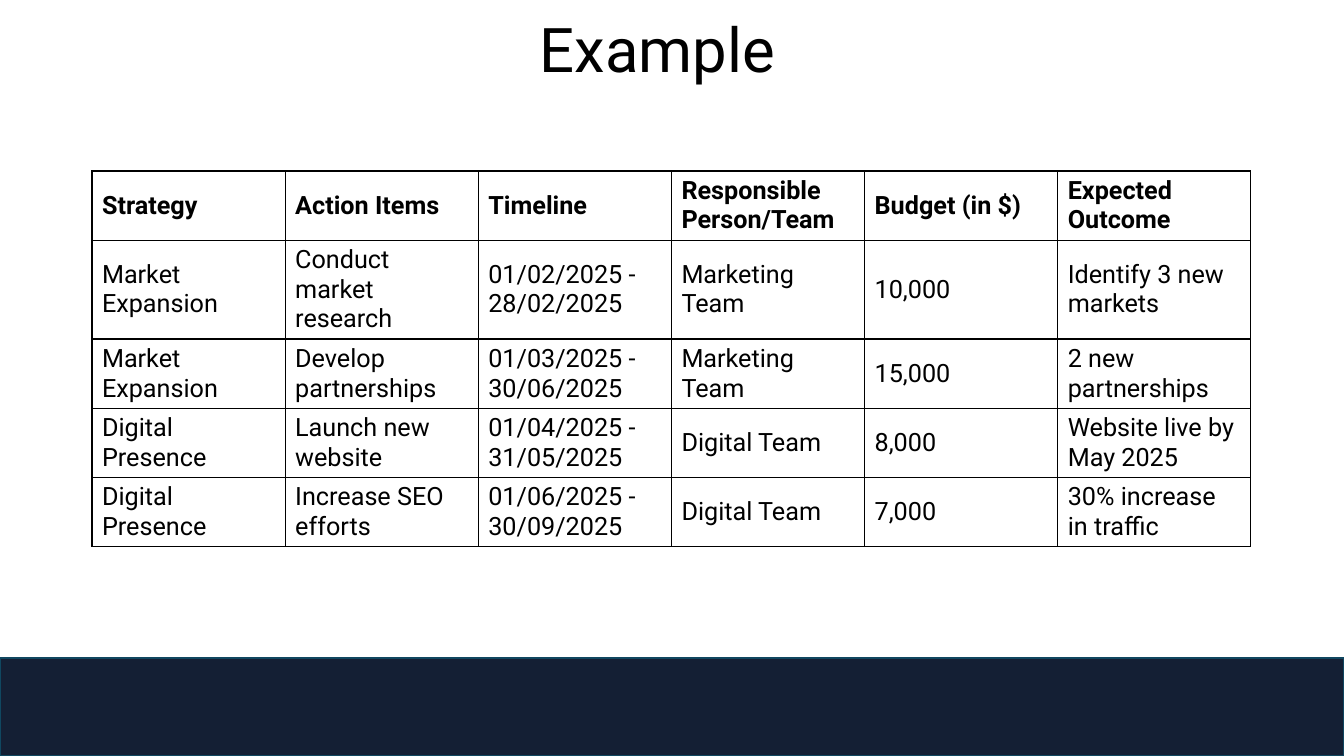
from dataclasses import dataclass

from lxml import etree
from pptx import Presentation
from pptx import util as u
from pptx.dml.color import RGBColor
from pptx.enum import shapes, text
from pptx.oxml.ns import qn


@dataclass(frozen=True)
class Theme:
    font: str = "Roboto"
    ink: str = "000000"
    paper: str = "FFFFFF"
    navy: str = "141F34"
    teal: str = "104760"
    head: int = 44
    body: int = 18
    rule: float = 1
    edge: float = 1.5


@dataclass(frozen=True)
class Box:
    left: int
    top: int
    width: int
    height: int

    def emu(self) -> tuple:
        return tuple(px(n) for n in (self.left, self.top, self.width, self.height))


@dataclass(frozen=True)
class Task:
    plan: str
    action: str
    dates: str
    team: str
    budget: str
    result: str

    def cells(self) -> tuple:
        return (self.plan, self.action, self.dates,
                self.team, self.budget, self.result)


THEME = Theme()
SCALE = 914400 / 100.8
SLIDE = Box(0, 0, 1344, 756)
TITLE = Box(78, 0, 1159, 105)
GRID = Box(92, 171, 1159, 376)
BAND = Box(0, 658, 1344, 98)
LINE = 69
TALL = 98

TASKS = (
    Task("Strategy", "Action Items", "Timeline", "Responsible Person/Team",
         "Budget (in $)", "Expected Outcome"),
    Task("Market Expansion", "Conduct market research", "01/02/2025 - 28/02/2025",
         "Marketing Team", "10,000", "Identify 3 new markets"),
    Task("Market Expansion", "Develop partnerships", "01/03/2025 - 30/06/2025",
         "Marketing Team", "15,000", "2 new partnerships"),
    Task("Digital Presence", "Launch new website", "01/04/2025 - 31/05/2025",
         "Digital Team", "8,000", "Website live by May 2025"),
    Task("Digital Presence", "Increase SEO efforts", "01/06/2025 - 30/09/2025",
         "Digital Team", "7,000", "30% increase in traffic"),
)
HEIGHTS = (LINE, TALL, LINE, LINE, LINE)


def px(count: float) -> u.Emu:
    return u.Emu(round(count * SCALE))


def style(frame, size: int, bold: bool = False) -> None:
    for para in frame.paragraphs:
        for run in para.runs:
            run.font.name = THEME.font
            run.font.size = u.Pt(size)
            run.font.bold = bold
            run.font.color.rgb = RGBColor.from_string(THEME.ink)


def border(cell) -> None:
    props = cell._tc.get_or_add_tcPr()
    for side in ("a:lnL", "a:lnR", "a:lnT", "a:lnB"):
        line = etree.SubElement(props, qn(side), w=str(u.Pt(THEME.rule)))
        fill = etree.SubElement(line, qn("a:solidFill"))
        etree.SubElement(fill, qn("a:srgbClr"), val=THEME.ink)


def title(slide, words: str) -> None:
    shape = slide.shapes.title
    shape.left, shape.top, shape.width, shape.height = TITLE.emu()
    frame = shape.text_frame
    frame.text = words
    frame.vertical_anchor = text.MSO_ANCHOR.MIDDLE
    frame.auto_size = text.MSO_AUTO_SIZE.NONE
    frame.paragraphs[0].alignment = text.PP_ALIGN.CENTER
    frame.paragraphs[0].line_spacing = 0.9
    style(frame, THEME.head)


def grid(slide, tasks: tuple) -> None:
    count = len(tasks[0].cells())
    table = slide.shapes.add_table(len(tasks), count, *GRID.emu()).table
    table.first_row = True
    table.horz_banding = False
    for column in table.columns:
        column.width = px(GRID.width / count)
    for i, (task, height) in enumerate(zip(tasks, HEIGHTS)):
        table.rows[i].height = px(height)
        for cell, words in zip(table.rows[i].cells, task.cells()):
            cell.text_frame.text = words
            cell.vertical_anchor = text.MSO_ANCHOR.MIDDLE
            style(cell.text_frame, THEME.body, i == 0)
            border(cell)
            cell.fill.background()


def band(slide) -> None:
    bar = slide.shapes.add_shape(shapes.MSO_SHAPE.RECTANGLE, *BAND.emu())
    bar.shadow.inherit = False
    bar.fill.solid()
    bar.fill.fore_color.rgb = RGBColor.from_string(THEME.navy)
    bar.line.color.rgb = RGBColor.from_string(THEME.teal)
    bar.line.width = u.Pt(THEME.edge)


def main() -> None:
    deck = Presentation()
    deck.slide_width, deck.slide_height = px(SLIDE.width), px(SLIDE.height)
    slide = deck.slides.add_slide(deck.slide_layouts.get_by_name("Title Only"))
    slide.background.fill.solid()
    slide.background.fill.fore_color.rgb = RGBColor.from_string(THEME.paper)
    title(slide, "Example")
    grid(slide, TASKS)
    band(slide)
    deck.save("out.pptx")


if __name__ == "__main__":
    main()
